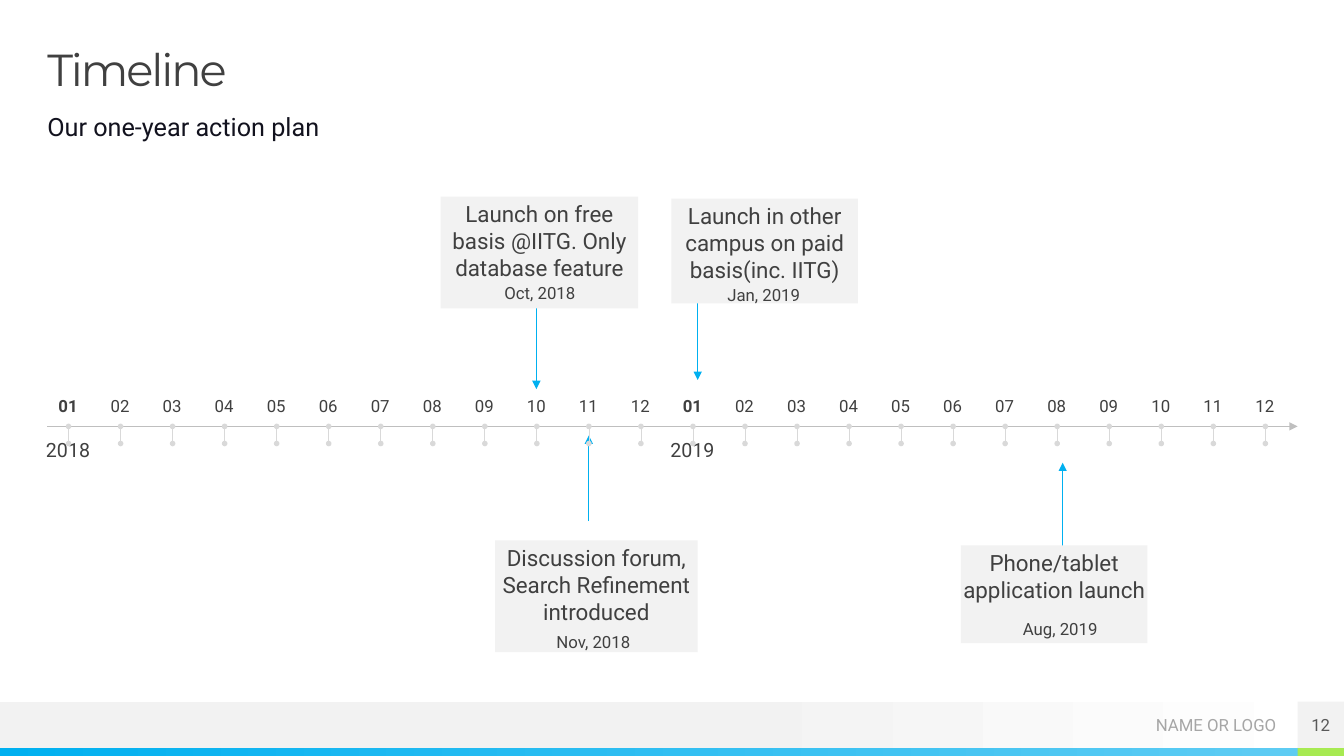
from lxml import etree
from pptx import Presentation
from pptx.dml.color import RGBColor
from pptx.enum.shapes import MSO_CONNECTOR, MSO_SHAPE
from pptx.enum.text import MSO_ANCHOR, PP_ALIGN
from pptx.oxml.ns import qn
from pptx.util import Inches, Pt

LEFT, CENTER, RIGHT = PP_ALIGN.LEFT, PP_ALIGN.CENTER, PP_ALIGN.RIGHT
TOP, MIDDLE = MSO_ANCHOR.TOP, MSO_ANCHOR.MIDDLE
RECT, STRAIGHT = MSO_SHAPE.RECTANGLE, MSO_CONNECTOR.STRAIGHT

HUES = {
    "text": "404040", "lead": "12121E", "page": "595959", "foot": "A6A6A6",
    "panel": "F2F2F2", "white": "FFFFFF", "blue": "00B0F0", "sky": "5ECCF3",
    "green": "A7EA52", "axis": "BFBFBF", "tick": "D9D9D9",
}
RGB = {name: RGBColor.from_string(code) for name, code in HUES.items()}

deck = Presentation()
deck.slide_width, deck.slide_height = Inches(13.33), Inches(7.5)
slide = deck.slides.add_slide(deck.slide_layouts[6])
shapes = slide.shapes


def put(area, text="", size=12, hue="text", align=CENTER, anchor=TOP, fill=None, inset=0):
    area = [Inches(n) for n in area]
    if fill:
        box = shapes.add_shape(RECT, *area)
        box.shadow.inherit = False
        box.line.fill.background()
        box.fill.solid()
        box.fill.fore_color.rgb = RGB[fill]
    else:
        box = shapes.add_textbox(*area)
    if text:
        frame = box.text_frame
        frame.word_wrap = True
        frame.vertical_anchor = anchor
        frame.margin_left = frame.margin_right = frame.margin_bottom = 0
        frame.margin_top = Inches(inset)
        para = frame.paragraphs[0]
        para.text = text
        para.alignment = align
        para.font.name = "Roboto"
        para.font.size = Pt(size)
        para.font.color.rgb = RGB[hue]
    return box


def link(start, end, hue, width=0.5, scale="med", **tips):
    line = shapes.add_connector(STRAIGHT, *[Inches(n) for n in start + end])
    line.line.color.rgb = RGB[hue]
    line.line.width = Pt(width)
    stroke = line.line._get_or_add_ln()
    for tag, kind in tips.items():
        etree.SubElement(stroke, qn(f"a:{tag}"), type=kind, w=scale, len=scale)
    etree.SubElement(line._element.spPr, qn("a:effectLst"))


bands = [
    ((0, 6.96, 13.33, 0.46), "panel", "white", 0.53),
    ((0, 7.42, 12.87, 0.08), "blue", "sky", 0),
]
for area, first, last, begin in bands:
    band = put(area, fill=first)
    band.fill.gradient()
    band.fill.gradient_angle = 0
    for stop, hue, place in zip(band.fill.gradient_stops, (first, last), (begin, 1)):
        stop.color.rgb = RGB[hue]
        stop.position = place
put((12.87, 7.42, 0.46, 0.08), fill="green")
put((10.42, 6.96, 2.24, 0.47), "NAME OR LOGO", hue="foot", align=RIGHT, anchor=MIDDLE)
put((12.87, 6.96, 0.46, 0.46), "12", hue="page", anchor=MIDDLE, fill="panel")

title = put((0.47, 0.47, 12.4, 0.47), "Timeline", 32, align=LEFT)
head = title.text_frame.paragraphs[0]
head.line_spacing = 0.9
head.font.name = "Montserrat"
head.runs[0].font._element.set("spc", "-150")
put((0.47, 1.1, 12.4, 0.39), "Our one-year action plan", 18, "lead", LEFT)

link((0.47, 4.23), (12.87, 4.23), "axis", tailEnd="triangle")

events = [
    ((4.37, 1.95, 1.96, 1.11), "Launch on free basis @IITG. Only database feature",
     (4.43, 2.8), "Oct, 2018", 5.32, 3.01, 3.86),
    ((4.91, 5.36, 2.01, 1.11), "Discussion forum, Search Refinement introduced",
     (4.96, 6.27), "Nov, 2018", 5.84, 5.17, 4.32),
    ((9.53, 5.41, 1.85, 0.97), "Phone/tablet application launch",
     (9.59, 6.14), "Aug, 2019", 10.54, 5.44, 4.59),
    ((6.66, 1.97, 1.85, 1.04), "Launch in other campus on paid basis(inc. IITG)",
     (6.65, 2.82), "Jan, 2019", 6.92, 2.92, 3.77),
]
for area, text, spot, date, x, start, end in events:
    link((x, start), (x, end), "blue", tailEnd="triangle")
    put(area, text, 16, fill="panel", inset=0.04)
    put(spot + (1.85, 0.25), date)

step = (12.55 - 0.68) / 23
for i in range(24):
    year, month = divmod(i, 12)
    x = 0.68 + i * step
    label = put((x - 0.21, 3.93, 0.41, 0.22), f"{month + 1:02}")
    if month == 0:
        label.text_frame.paragraphs[0].font.bold = True
        put((x - 0.23, 4.35, 0.45, 0.22), str(2018 + year), 14, anchor=MIDDLE)
    link((x, 4.23), (x, 4.4), "tick", 0.25 if year else 0.5, "sm", headEnd="oval", tailEnd="oval")

deck.save("out.pptx")
